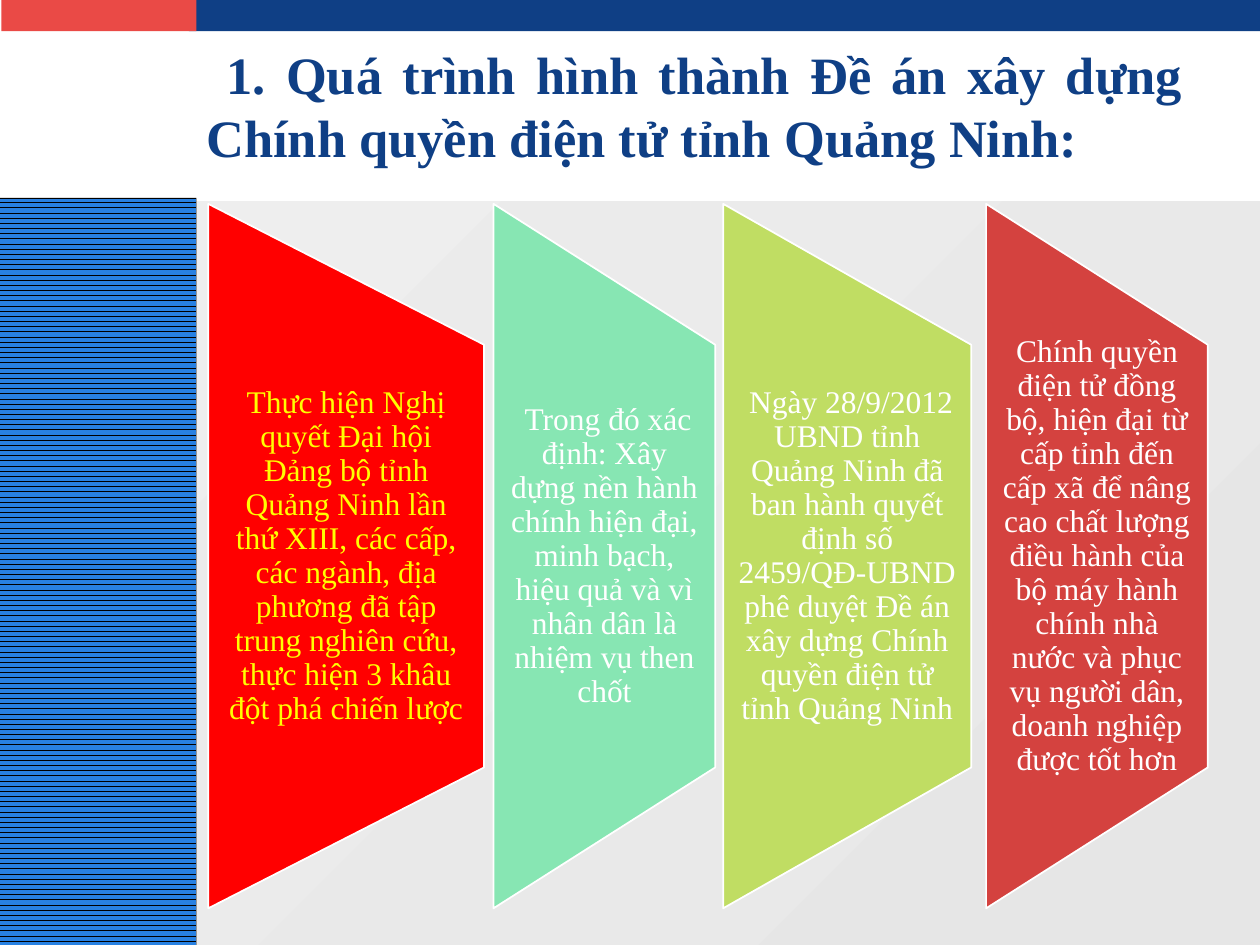
from dataclasses import dataclass

from pptx import Presentation
from pptx.dml.color import RGBColor
from pptx.enum.dml import MSO_PATTERN
from pptx.enum.shapes import MSO_SHAPE
from pptx.enum.text import MSO_ANCHOR, PP_ALIGN
from pptx.util import Cm, Pt


@dataclass(frozen=True)
class Theme:
    font: str = "Times New Roman"
    navy: str = "0F3F85"
    coral: str = "EA4A46"
    blue: str = "2881E2"
    black: str = "000000"
    white: str = "FFFFFF"
    yellow: str = "FFFF00"
    red: str = "FF0000"
    mint: str = "87E6B3"
    lime: str = "C0DD63"
    brick: str = "D4423F"
    pale: str = "EEEEEE"
    grey: str = "E6E6E6"
    title: int = 30
    body: int = 18


class Deck:
    """Draws styled elements on the current slide."""

    def __init__(self, theme):
        self.theme = theme
        self.file = Presentation()
        self.file.slide_width, self.file.slide_height = Cm(25.4), Cm(19.05)
        self.slide = self.file.slides.add_slide(self.file.slide_layouts[6])

    def shape(self, kind, left, top, width, height):
        item = self.slide.shapes.add_shape(
            kind, Cm(left), Cm(top), Cm(width), Cm(height))
        item.shadow.inherit = False
        item.line.fill.background()
        return item

    def band(self, left, top, width, height, color):
        item = self.shape(MSO_SHAPE.RECTANGLE, left, top, width, height)
        item.fill.solid()
        item.fill.fore_color.rgb = RGBColor.from_string(color)

    def shade(self, left, top, width, height, colors):
        fill = self.shape(MSO_SHAPE.RECTANGLE, left, top, width, height).fill
        fill.gradient()
        fill.gradient_angle = 315
        for stop, color in zip(fill.gradient_stops, colors):
            stop.color.rgb = RGBColor.from_string(color)

    def stripes(self, left, top, width, height, front, back):
        fill = self.shape(MSO_SHAPE.RECTANGLE, left, top, width, height).fill
        fill.patterned()
        fill.pattern = MSO_PATTERN.DARK_HORIZONTAL
        fill.fore_color.rgb = RGBColor.from_string(front)
        fill.back_color.rgb = RGBColor.from_string(back)

    def text(self, left, top, width, height, words, size, color,
             align=PP_ALIGN.CENTER, bold=False, inset=(0.3, 0), space=0.9):
        frame = self.slide.shapes.add_textbox(
            Cm(left), Cm(top), Cm(width), Cm(height)).text_frame
        frame.word_wrap = True
        frame.vertical_anchor = MSO_ANCHOR.MIDDLE
        frame.margin_left = frame.margin_right = Cm(inset[0])
        frame.margin_top = frame.margin_bottom = Cm(inset[1])
        para = frame.paragraphs[0]
        para.text = words
        para.alignment = align
        para.line_spacing = space
        para.font.name = self.theme.font
        para.font.size = Pt(size)
        para.font.bold = bold
        para.font.color.rgb = RGBColor.from_string(color)

    def panel(self, left, width, fill, color, words):
        middle, tall, inner = 11.21, 14.2, 8.5
        item = self.shape(
            MSO_SHAPE.FLOWCHART_MANUAL_OPERATION,
            left + (width - tall) / 2, middle - width / 2, tall, width)
        item.rotation = 270
        item.fill.solid()
        item.fill.fore_color.rgb = RGBColor.from_string(fill)
        item.line.color.rgb = RGBColor.from_string(self.theme.white)
        item.line.width = Pt(1)
        self.text(left, middle - inner / 2, width, inner, words,
                  self.theme.body, color)


def main():
    theme = Theme()
    deck = Deck(theme)
    deck.band(3.81, 0, 21.59, 0.63, theme.navy)
    deck.shade(0, 4.06, 25.4, 14.99, (theme.pale, theme.grey))
    deck.stripes(0, 3.99, 3.96, 15.06, theme.blue, theme.black)
    deck.band(0.03, 0, 3.93, 0.63, theme.coral)
    deck.text(
        3.91, 1.12, 20.19, 2,
        " 1. Quá trình hình thành Đề án xây dựng Chính quyền điện tử tỉnh "
        "Quảng Ninh:",
        theme.title, theme.navy, PP_ALIGN.JUSTIFY, True, (0.25, 0.13), 1.0)

    panels = (
        (4.2, 5.56, theme.red, theme.yellow,
         "Thực hiện Nghị quyết Đại hội Đảng bộ tỉnh Quảng Ninh lần thứ XIII, "
         "các cấp, các ngành, địa phương đã tập trung nghiên cứu, thực hiện "
         "3 khâu đột phá chiến lược"),
        (9.95, 4.47, theme.mint, theme.white,
         " Trong đó xác định: Xây dựng nền hành chính hiện đại, minh bạch, "
         "hiệu quả và vì nhân dân là nhiệm vụ then chốt"),
        (14.58, 5, theme.lime, theme.white,
         " Ngày 28/9/2012 UBND tỉnh Quảng Ninh đã ban hành quyết định số "
         "2459/QĐ-UBND phê duyệt Đề án xây dựng Chính quyền điện tử tỉnh "
         "Quảng Ninh"),
        (19.88, 4.47, theme.brick, theme.white,
         "Chính quyền điện tử đồng bộ, hiện đại từ cấp tỉnh đến cấp xã để "
         "nâng cao chất lượng điều hành của bộ máy hành chính nhà nước và "
         "phục vụ người dân, doanh nghiệp được tốt hơn"),
    )
    for panel in panels:
        deck.panel(*panel)
    deck.file.save("out.pptx")


if __name__ == "__main__":
    main()
